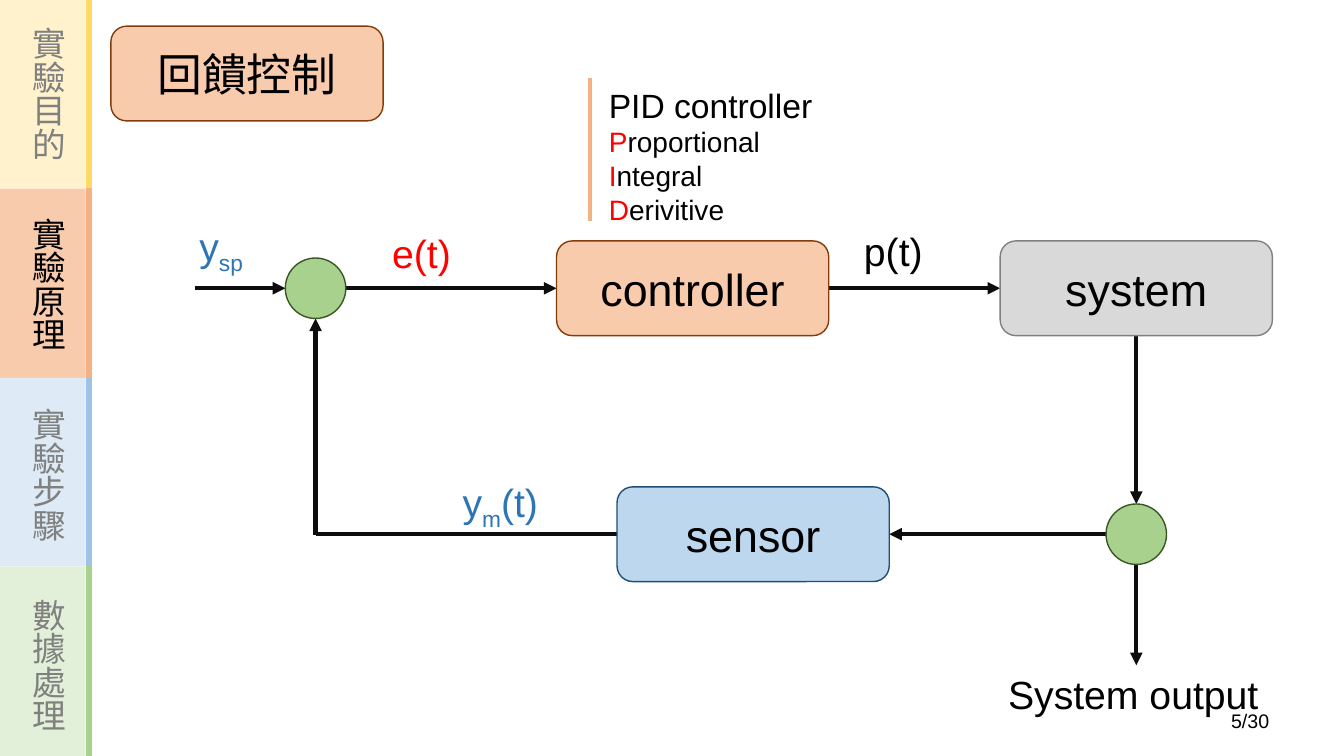
"""Build the feedback control slide with its block diagram and section tabs."""
from dataclasses import dataclass
from typing import Any

from lxml import etree
from pptx import Presentation, util as u
from pptx.dml.color import RGBColor
from pptx.enum import shapes, text
from pptx.oxml import ns

PX = 9144
KIND = shapes.MSO_SHAPE
ALIGN = text.PP_ALIGN
MID = text.MSO_ANCHOR.MIDDLE


@dataclass(frozen=True)
class Theme:
    font: str = "Arial"
    big: int = 32
    label: int = 28
    head: int = 24
    body: int = 20
    small: int = 14
    black: str = "000000"
    ink: str = "0D0D0D"
    grey: str = "808080"
    pale: str = "D9D9D9"
    red: str = "FF0000"
    blue: str = "2E75B6"
    navy: str = "1F4E79"
    sky: str = "BDD7EE"
    peach: str = "F8CBAD"
    brown: str = "843C0B"
    coral: str = "F4B183"
    leaf: str = "A9D18E"
    forest: str = "385723"


T = Theme()


@dataclass(frozen=True)
class Run:
    text: str
    color: str = T.black
    size: int = T.label
    base: int = 0


@dataclass(frozen=True)
class Block:
    x: int
    y: int
    w: int
    h: int
    fill: str
    edge: str = ""
    text: str = ""
    kind: Any = KIND.ROUNDED_RECTANGLE


@dataclass(frozen=True)
class Line:
    x1: int
    y1: int
    x2: int
    y2: int
    color: str = T.ink
    width: float = 3
    arrow: bool = True


@dataclass(frozen=True)
class Label:
    x: int
    y: int
    w: int
    h: int
    rows: list[list[Run]]


@dataclass(frozen=True)
class Tab:
    text: str
    fill: str
    edge: str
    color: str = T.grey


HEAD = Block(110, 26, 270, 94, T.peach, T.brown)

BLOCKS = [
    Block(992, 239, 270, 94, T.pale, T.grey, "system"),
    Block(552, 239, 270, 94, T.peach, T.brown, "controller"),
    Block(612, 483, 270, 94, T.sky, T.navy, "sensor"),
    Block(283, 256, 60, 60, T.leaf, T.forest, kind=KIND.OVAL),
    Block(1097, 500, 60, 60, T.leaf, T.forest, kind=KIND.OVAL),
]

LINES = [
    Line(193, 286, 283, 286),
    Line(343, 286, 552, 286),
    Line(822, 286, 992, 286),
    Line(1127, 333, 1127, 500),
    Line(1127, 560, 1127, 660),
    Line(1097, 530, 882, 530),
    Line(612, 530, 313, 530, arrow=False),
    Line(313, 531, 313, 316),
    Line(585, 77, 585, 219, T.coral, arrow=False),
]

TERMS = ["Proportional", "Integral", "Derivitive"]
LABELS = [
    Label(990, 660, 275, 57, [[Run("System output")]]),
    Label(379, 223, 141, 57, [[Run("e(t)", T.red)]]),
    Label(847, 221, 141, 57, [[Run("p(t)")]]),
    Label(449, 470, 163, 57, [[Run("y", T.blue), Run("m", T.blue, base=-25),
                               Run("(t)", T.blue)]]),
    Label(188, 216, 84, 57, [[Run("y", T.blue), Run("sp", T.blue, base=-25)]]),
    Label(594, 79, 270, 151, [[Run("PID controller", size=T.head)]] + [
        [Run(term[0], T.red, T.body), Run(term[1:], size=T.body)] for term in TERMS]),
]

TABS = [
    Tab("實驗目的", "FFF2CC", "FFD966"),
    Tab("實驗原理", T.peach, T.coral, T.black),
    Tab("實驗步驟", "DEEBF7", "9DC3E6"),
    Tab("數據處理", "E2F0D9", T.leaf),
]


def write(frame: Any, rows: list[list[Run]], *, align: Any = ALIGN.LEFT,
          anchor: Any = text.MSO_ANCHOR.TOP, fit: Any = text.MSO_AUTO_SIZE.NONE,
          vert: str = "horz") -> None:
    frame.word_wrap = True
    frame.auto_size = fit
    frame.vertical_anchor = anchor
    frame._txBody.bodyPr.set("vert", vert)
    for i, row in enumerate(rows):
        para = frame.add_paragraph() if i else frame.paragraphs[0]
        para.alignment = align
        for part in row:
            run = para.add_run()
            run.text = part.text
            run.font.name = T.font
            run.font.size = u.Pt(part.size)
            run.font.color.rgb = RGBColor.from_string(part.color)
            if part.base:
                run._r.get_or_add_rPr().set("baseline", str(part.base * 1000))


def block(slide: Any, b: Block) -> Any:
    box = slide.shapes.add_shape(b.kind, b.x * PX, b.y * PX, b.w * PX, b.h * PX)
    box.shadow.inherit = False
    box.fill.solid()
    box.fill.fore_color.rgb = RGBColor.from_string(b.fill)
    if b.edge:
        box.line.color.rgb = RGBColor.from_string(b.edge)
        box.line.width = u.Pt(1)
    else:
        box.line.fill.background()
    if b.text:
        write(box.text_frame, [[Run(b.text, size=T.big)]], align=ALIGN.CENTER, anchor=MID)
    return box


def line(slide: Any, s: Line) -> None:
    link = slide.shapes.add_connector(
        shapes.MSO_CONNECTOR.STRAIGHT, s.x1 * PX, s.y1 * PX, s.x2 * PX, s.y2 * PX)
    link.line.color.rgb = RGBColor.from_string(s.color)
    link.line.width = u.Pt(s.width)
    if s.arrow:
        etree.SubElement(link.line._get_or_add_ln(), ns.qn("a:tailEnd"), type="triangle")
    etree.SubElement(link._element.spPr, ns.qn("a:effectLst"))


def label(slide: Any, t: Label, **form: Any) -> None:
    box = slide.shapes.add_textbox(t.x * PX, t.y * PX, t.w * PX, t.h * PX)
    write(box.text_frame, t.rows, **form)


def main() -> None:
    deck = Presentation()
    deck.slide_width, deck.slide_height = 1333 * PX, 750 * PX
    slide = deck.slides.add_slide(deck.slide_layouts[5])
    grow = text.MSO_AUTO_SIZE.SHAPE_TO_FIT_TEXT

    title = slide.shapes.title
    title.left, title.top = HEAD.x * PX, HEAD.y * PX
    title.width, title.height = HEAD.w * PX, HEAD.h * PX
    write(title.text_frame, [[Run("回饋控制", size=T.big)]], align=ALIGN.CENTER, anchor=MID)
    block(slide, HEAD).element.addnext(title.element)

    for s in LINES:
        line(slide, s)
    for b in BLOCKS:
        block(slide, b)
    for t in LABELS:
        label(slide, t, fit=grow)

    for i, tab in enumerate(TABS):
        top, end = 750 * i // 4, 750 * (i + 1) // 4
        line(slide, Line(88, top, 88, end, tab.edge, 4.5, False))
        block(slide, Block(0, top, 85, end - top, tab.fill, kind=KIND.RECTANGLE))
        row = [Run(tab.text, tab.color, T.head)]
        label(slide, Label(12, 17 + 189 * i, 61, 153, [row]), fit=grow, vert="eaVert")

    label(slide, Label(1200, 695, 80, 40, [[Run("5/30", size=T.small)]]),
          align=ALIGN.CENTER, anchor=MID)
    deck.save("out.pptx")


if __name__ == "__main__":
    main()
